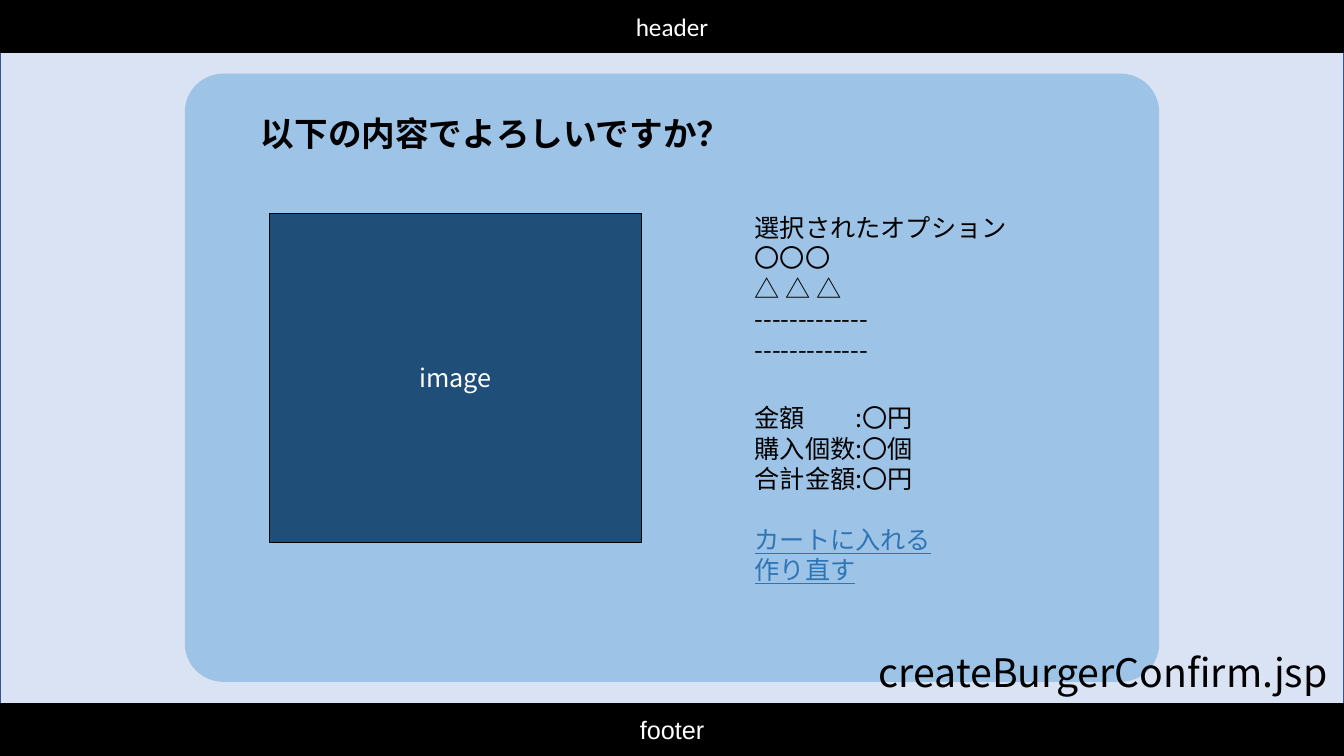
from lxml import etree
from pptx import Presentation
from pptx import util as u
from pptx.dml.color import RGBColor
from pptx.enum import shapes, text
from pptx.oxml import ns

BLACK = RGBColor(0x00, 0x00, 0x00)
WHITE = RGBColor(0xFF, 0xFF, 0xFF)
PAGE_FILL = RGBColor(0xDA, 0xE3, 0xF3)
PAGE_LINE = RGBColor(0x32, 0x54, 0x91)
CARD_FILL = RGBColor(0x9D, 0xC3, 0xE6)
IMAGE_FILL = RGBColor(0x1F, 0x4E, 0x79)
LINK = RGBColor(0x2E, 0x75, 0xB6)

JAPANESE = "Noto Sans CJK JP"
WIDTH, HEIGHT, BAR = 960, 540, 37.6
LINE_RATIO = 1.21
TAB_STOP = 72


def set_font(run, color, **values):
    """Apply format values; the typeface also covers East Asian characters."""
    for name, value in values.items():
        setattr(run.font, name, value)
    run.font.color.rgb = color
    east_asian = etree.SubElement(run.font._element, ns.qn("a:ea"))
    east_asian.set("typeface", values["name"])


def add_panel(slide, kind, box, fill, line=None):
    panel = slide.shapes.add_shape(kind, *(u.Pt(value) for value in box))
    panel.shadow.inherit = False
    panel.fill.solid()
    panel.fill.fore_color.rgb = fill
    if line is None:
        panel.line.fill.background()
    else:
        panel.line.color.rgb = line
        panel.line.width = u.Pt(1)
    return panel


def label_panel(panel, label, font):
    panel.text_frame.vertical_anchor = text.MSO_ANCHOR.MIDDLE
    paragraph = panel.text_frame.paragraphs[0]
    paragraph.alignment = text.PP_ALIGN.CENTER
    run = paragraph.add_run()
    run.text = label
    set_font(run, WHITE, name=font, size=u.Pt(18))


def place(shape, box):
    """Position a text shape and bring it in front of the panels."""
    for name, value in zip(("left", "top", "width", "height"), box):
        setattr(shape, name, u.Pt(value))
    shape.element.getparent().append(shape.element)


def write_lines(shape, lines, size, links=(), bold=False):
    """Write plain, unbulleted lines; the first link is set apart by one line."""
    frame = shape.text_frame
    settings = {"word_wrap": True, "auto_size": text.MSO_AUTO_SIZE.NONE,
                "vertical_anchor": text.MSO_ANCHOR.TOP}
    for name, value in settings.items():
        setattr(frame, name, value)
    spacing = u.Pt(size * LINE_RATIO)
    for index, line in enumerate([*lines, *links]):
        paragraph = frame.add_paragraph() if index else frame.paragraphs[0]
        properties = paragraph._p.get_or_add_pPr()
        properties.set("marL", "0")
        properties.set("indent", "0")
        etree.SubElement(properties, ns.qn("a:buNone"))
        if "\t" in line:
            tabs = etree.SubElement(properties, ns.qn("a:tabLst"))
            etree.SubElement(tabs, ns.qn("a:tab"), pos=str(u.Pt(TAB_STOP)), algn="l")
        first_link = bool(links) and index == len(lines)
        layout = {"alignment": text.PP_ALIGN.LEFT, "line_spacing": spacing,
                  "space_before": spacing if first_link else u.Pt(0)}
        for name, value in layout.items():
            setattr(paragraph, name, value)
        run = paragraph.add_run()
        run.text = line
        is_link = index >= len(lines)
        set_font(run, LINK if is_link else BLACK, name=JAPANESE,
                 size=u.Pt(size), bold=bold, underline=is_link)


def main():
    presentation = Presentation()
    presentation.slide_width = u.Pt(WIDTH)
    presentation.slide_height = u.Pt(HEIGHT)
    slide = presentation.slides.add_slide(presentation.slide_layouts[3])
    title, options, summary = list(slide.placeholders)[:3]
    rectangle = shapes.MSO_SHAPE.RECTANGLE

    # Page and card
    add_panel(slide, rectangle, (0, BAR, WIDTH, HEIGHT - 2 * BAR), PAGE_FILL, PAGE_LINE)
    card = add_panel(slide, shapes.MSO_SHAPE.ROUNDED_RECTANGLE,
                     (132, 52.6, 696, 434.4), CARD_FILL)
    card.adjustments[0] = 0.063

    # Header and footer bars
    for label, top, font in (("header", 0, "Calibri"), ("footer", HEIGHT - BAR, "Arial")):
        bar = add_panel(slide, rectangle, (0, top, WIDTH, BAR), BLACK, BLACK)
        label_panel(bar, label, font)

    # File name
    file_name = slide.shapes.add_textbox(0, 0, 0, 0)
    place(file_name, (620.8, 459.5, 339.2, 41.2))
    write_lines(file_name, ["createBurgerConfirm.jsp"], 28)

    # Image area
    image = add_panel(slide, rectangle, (192.7, 152.4, 265.6, 235), IMAGE_FILL, BLACK)
    label_panel(image, "image", JAPANESE)

    # Heading, chosen options and order summary
    place(title, (179.2, 77, 391.7, 36.4))
    write_lines(title, ["以下の内容でよろしいですか？"], 24, bold=True)
    place(options, (531.8, 147.8, 247.7, 135.4))
    write_lines(options, ["選択されたオプション", "〇〇〇", "△ △ △"] + ["-" * 13] * 2, 18)
    place(summary, (531.8, 283.6, 285.1, 159.8))
    write_lines(summary, ["金額\t:〇円", "購入個数:〇個", "合計金額:〇円"], 18,
                links=["カートに入れる", "作り直す"])

    # Unused placeholders
    for placeholder in list(slide.placeholders):
        if not placeholder.text_frame.text:
            placeholder.element.getparent().remove(placeholder.element)

    presentation.save("out.pptx")


if __name__ == "__main__":
    main()
